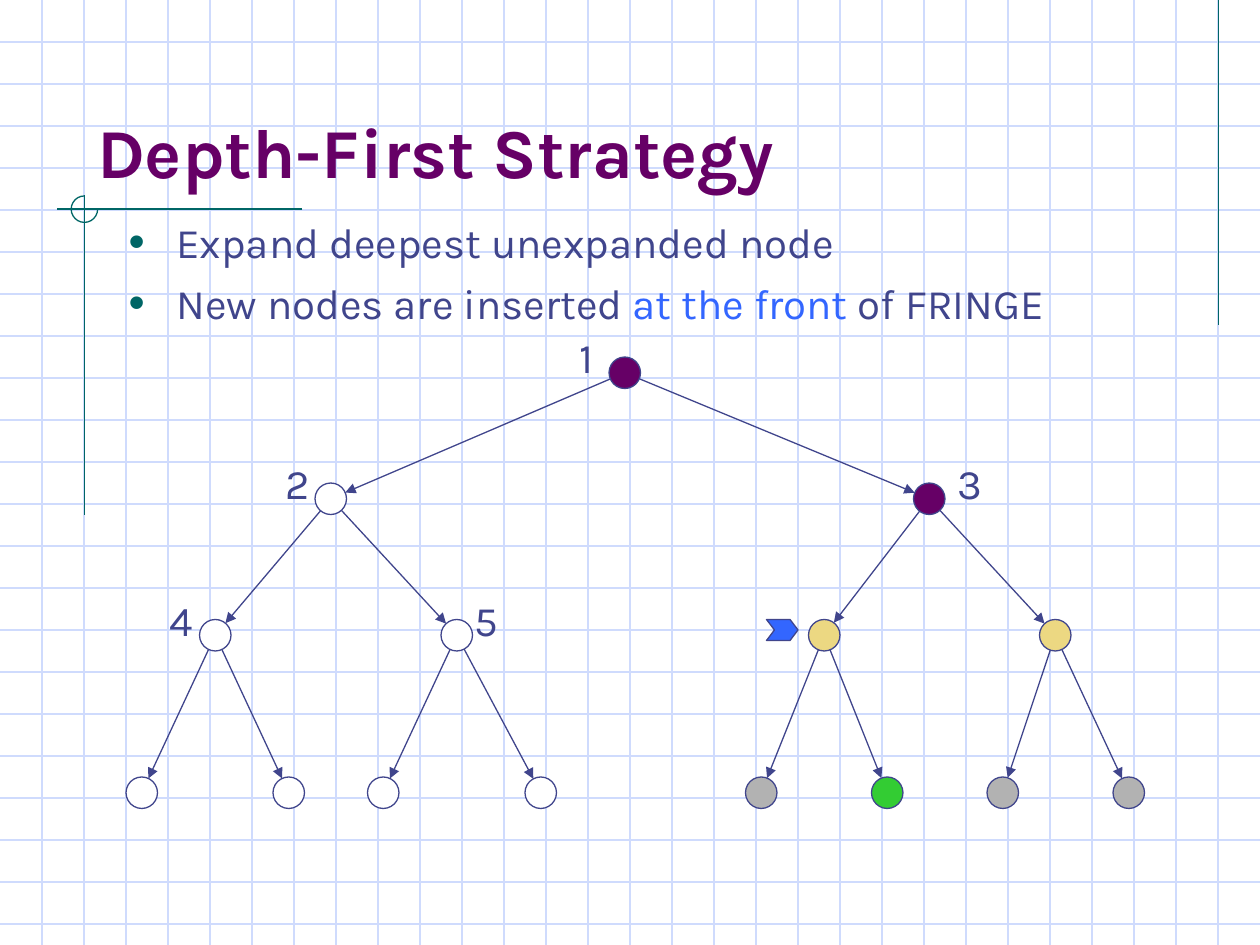
from math import hypot

from lxml.etree import SubElement
from pptx import Presentation
from pptx.dml.color import RGBColor
from pptx.enum.shapes import MSO_CONNECTOR, MSO_SHAPE
from pptx.enum.text import MSO_ANCHOR, MSO_AUTO_SIZE, PP_ALIGN
from pptx.oxml.ns import qn
from pptx.util import Inches, Pt

PLUM = RGBColor(0x66, 0x00, 0x66)
TEAL = RGBColor(0x00, 0x66, 0x66)
INDIGO = RGBColor(0x40, 0x45, 0x8C)
BLUE = RGBColor(0x33, 0x66, 0xFF)
PALE_BLUE = RGBColor(0xCF, 0xDB, 0xFD)
WHITE = RGBColor(0xFF, 0xFF, 0xFF)
SAND = RGBColor(0xEC, 0xD8, 0x82)
GREY = RGBColor(0xB2, 0xB2, 0xB2)
GREEN = RGBColor(0x33, 0xCC, 0x33)

FONT = "Karla"
WIDTH, HEIGHT = 10, 7.5
SQUARE = 1 / 3  # background grid
UNIT = 1 / 12  # tree grid
NODE = 0.25

TITLE = "Depth-First Strategy"
BULLETS = [
    [("Expand deepest unexpanded node", INDIGO)],
    [("New nodes are inserted ", INDIGO), ("at the front", BLUE), (" of FRINGE", INDIGO)],
]
# Tree levels: row, then (column, fill) per node, both in tree grid units
LEVELS = [
    (34, [(58, PLUM)]),
    (46, [(30, WHITE), (87, PLUM)]),
    (59, [(19, WHITE), (42, WHITE), (77, SAND), (99, SAND)]),
    (74, [(12, WHITE), (26, WHITE), (35, WHITE), (50, WHITE),
          (71, GREY), (83, GREEN), (94, GREY), (106, GREY)]),
]
# Node number: columns from the node to its label
LABEL_SHIFTS = {1: -4, 2: -4, 3: 3, 4: -4, 5: 2}
LABEL_RISE = 3
CURRENT_NODE = 6
CORNER = (0.67, 1.66)
MARGIN_LINES = [
    ((9.67, 0), (9.67, 2.58)),
    ((2.4, CORNER[1]), (0.45, CORNER[1])),
    ((CORNER[0], 1.55), (CORNER[0], 4.09)),
]


def add_line(slide, start, end, color, arrow=False):
    points = [Inches(value) for value in (*start, *end)]
    line = slide.shapes.add_connector(MSO_CONNECTOR.STRAIGHT, *points)
    line.line.color.rgb = color
    line.line.width = Pt(0.75)
    if arrow:
        SubElement(line.line._get_or_add_ln(), qn("a:tailEnd"), type="triangle")
    SubElement(line.element.spPr, qn("a:effectLst"))


def add_outlined(slide, kind, left, top, width, height, fill, color=INDIGO):
    shape = slide.shapes.add_shape(kind, *map(Inches, (left, top, width, height)))
    shape.shadow.inherit = False
    if fill is None:
        shape.fill.background()
    else:
        shape.fill.solid()
        shape.fill.fore_color.rgb = fill
    shape.line.color.rgb = color
    shape.line.width = Pt(0.75)
    return shape


def add_run(paragraph, text, color, size, bold=False):
    run = paragraph.add_run()
    run.text = text
    run.font.color.rgb = color
    for name, value in {"name": FONT, "size": Pt(size), "bold": bold}.items():
        setattr(run.font, name, value)


def place(shape, left, top, width, height):
    """Move a placeholder and bring it in front of what is drawn so far."""
    for name, value in zip(("left", "top", "width", "height"), (left, top, width, height)):
        setattr(shape, name, Inches(value))
    shape.element.getparent().append(shape.element)


def set_bullet(paragraph):
    properties = paragraph._p.get_or_add_pPr()
    properties.set("marL", str(Inches(0.38)))
    properties.set("indent", str(Inches(-0.38)))
    bullet_color = SubElement(properties, qn("a:buClr"))
    SubElement(bullet_color, qn("a:srgbClr"), val=str(TEAL))
    SubElement(properties, qn("a:buSzPct"), val="110000")
    SubElement(properties, qn("a:buFont"), typeface="Arial")
    SubElement(properties, qn("a:buChar"), char="•")


def add_background(slide):
    for index in range(1, int(HEIGHT / SQUARE) + 1):
        add_line(slide, (0, index * SQUARE), (WIDTH, index * SQUARE), PALE_BLUE)
    for index in range(1, round(WIDTH / SQUARE)):
        add_line(slide, (index * SQUARE, 0), (index * SQUARE, HEIGHT), PALE_BLUE)
    for start, end in MARGIN_LINES:
        add_line(slide, start, end, TEAL)
    size = 0.21
    arc = add_outlined(slide, MSO_SHAPE.ARC, CORNER[0] - size / 2, CORNER[1] - size / 2,
                       size, size, None, TEAL)
    arc.adjustments[0], arc.adjustments[1] = 0, 162  # three quarters of a circle


def add_texts(slide):
    title, body = slide.placeholders
    place(title, 0.67, 0.33, 8.5, 1.25)
    title.text_frame.vertical_anchor = MSO_ANCHOR.BOTTOM
    paragraph = title.text_frame.paragraphs[0]
    paragraph.alignment = PP_ALIGN.LEFT
    add_run(paragraph, TITLE, PLUM, 40, bold=True)

    place(body, 0.92, 1.67, 8.5, 4.92)
    frame = body.text_frame
    for index, runs in enumerate(BULLETS):
        paragraph = frame.add_paragraph() if index else frame.paragraphs[0]
        paragraph.space_before = Pt(6)
        set_bullet(paragraph)
        for text, color in runs:
            add_run(paragraph, text, color, 24)


def add_edge(slide, parent, child):
    """Draw an arrow from rim to rim along the line between two node centres."""
    across, down = child[0] - parent[0], child[1] - parent[1]
    share = NODE / 2 / hypot(across, down)
    start, end = [(parent[0] + across * part + NODE / 2, parent[1] + down * part + NODE / 2)
                  for part in (share, 1 - share)]
    add_line(slide, start, end, INDIGO, arrow=True)


def add_label(slide, number, left, top):
    box = slide.shapes.add_textbox(*map(Inches, (left, top, 0.39, 0.5)))
    box.text_frame.word_wrap = False
    box.text_frame.auto_size = MSO_AUTO_SIZE.SHAPE_TO_FIT_TEXT
    add_run(box.text_frame.paragraphs[0], str(number), INDIGO, 24)


def add_tree(slide):
    nodes = [(column * UNIT, row * UNIT, fill) for row, level in LEVELS for column, fill in level]
    for number, (left, top, fill) in enumerate(nodes, start=1):
        if number > 1:
            add_edge(slide, nodes[number // 2 - 1], (left, top))
        add_outlined(slide, MSO_SHAPE.OVAL, left, top, NODE, NODE, fill)
        if number in LABEL_SHIFTS:
            add_label(slide, number, left + LABEL_SHIFTS[number] * UNIT, top - LABEL_RISE * UNIT)
    left, top, _ = nodes[CURRENT_NODE - 1]
    pointer = add_outlined(slide, MSO_SHAPE.CHEVRON, left - 4 * UNIT, top,
                           3 * UNIT, 2 * UNIT, BLUE)
    pointer.adjustments[0] = 0.38


def main():
    presentation = Presentation()
    presentation.slide_width, presentation.slide_height = Inches(WIDTH), Inches(HEIGHT)
    slide = presentation.slides.add_slide(presentation.slide_layouts[1])
    slide.background.fill.solid()
    slide.background.fill.fore_color.rgb = WHITE
    add_background(slide)
    add_texts(slide)
    add_tree(slide)
    presentation.save("out.pptx")


if __name__ == "__main__":
    main()
